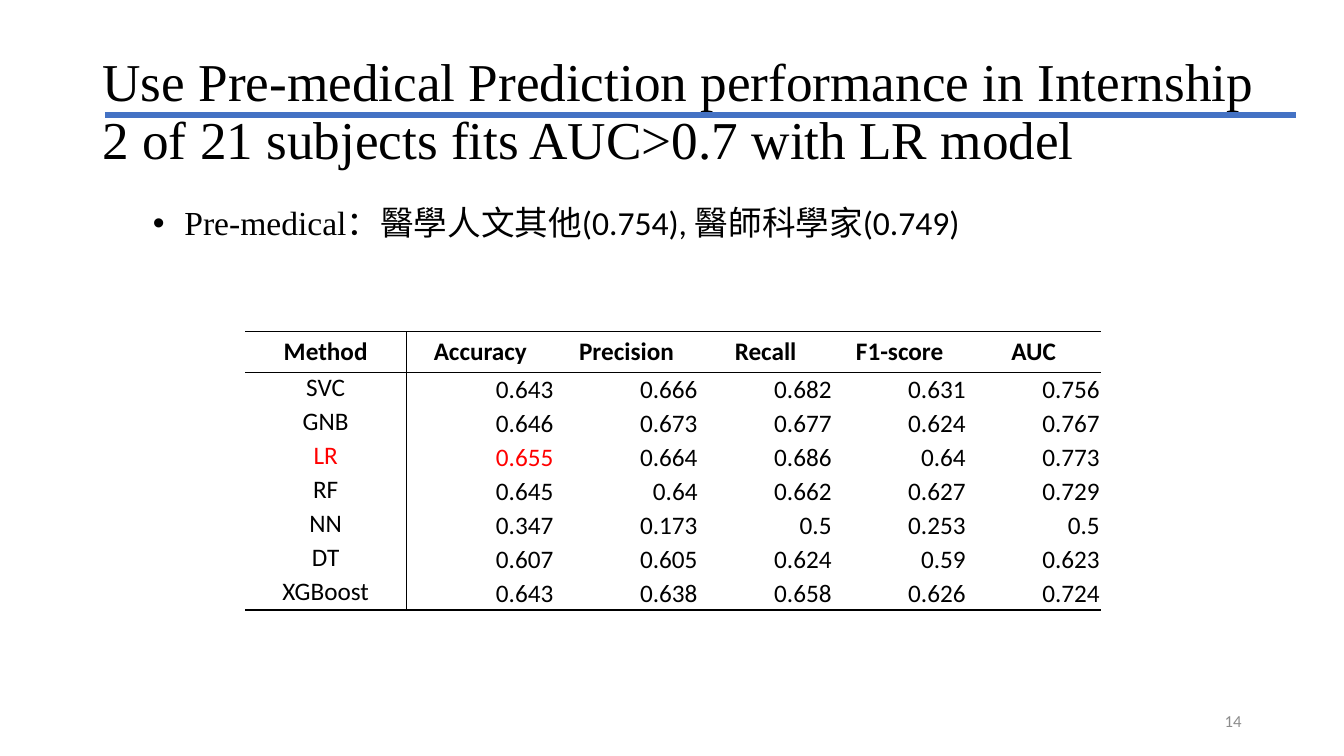
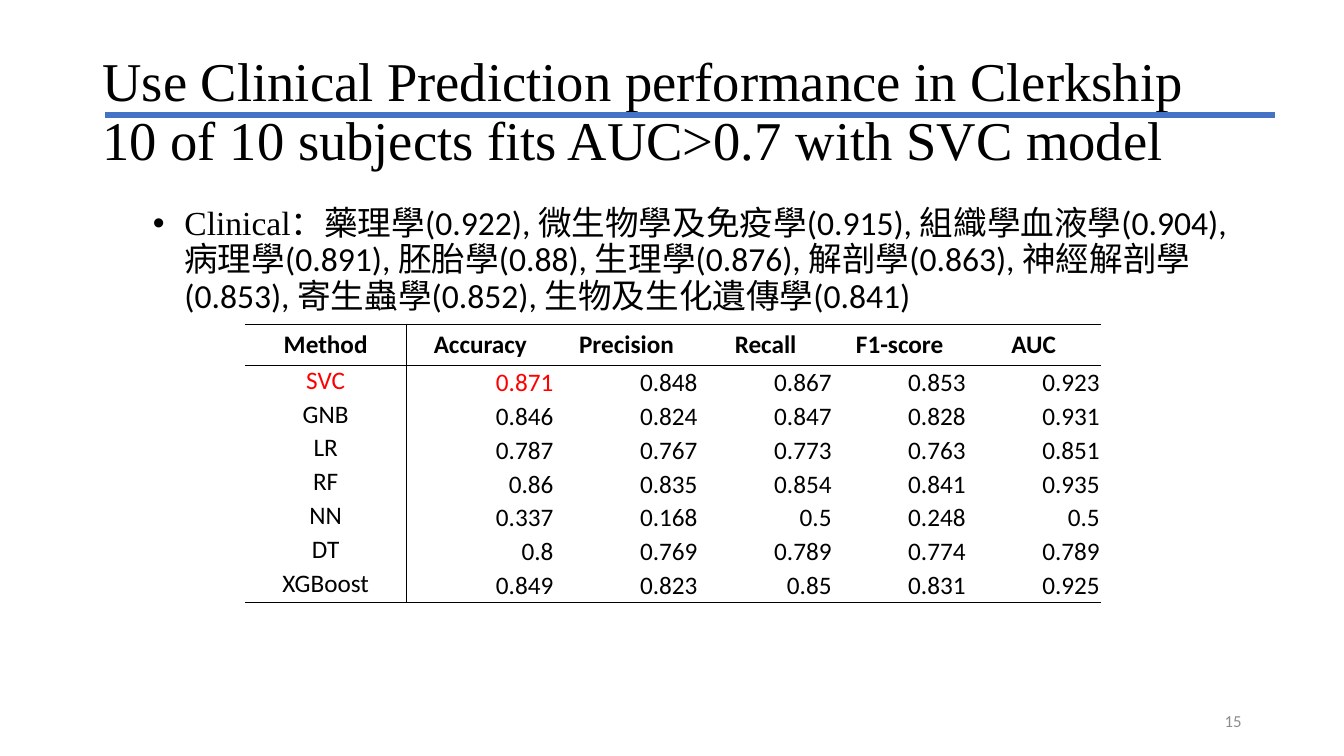
from dataclasses import dataclass

from lxml import etree
from pptx import Presentation
from pptx.dml.color import RGBColor
from pptx.enum.shapes import MSO_CONNECTOR
from pptx.enum.text import MSO_ANCHOR, MSO_AUTO_SIZE, PP_ALIGN
from pptx.oxml.ns import qn
from pptx.util import Pt

LEFT, MID, RIGHT = PP_ALIGN.LEFT, PP_ALIGN.CENTER, PP_ALIGN.RIGHT
CENTRE, TOP = MSO_ANCHOR.MIDDLE, MSO_ANCHOR.TOP
NO_FIT = MSO_AUTO_SIZE.NONE
STRAIGHT = MSO_CONNECTOR.STRAIGHT


@dataclass(frozen=True)
class Theme:
    ink: str = "000000"
    hot: str = "FF0000"
    bar: str = "4472C4"
    dim: str = "8C8C8C"
    serif: str = "Times New Roman"
    sans: str = "Calibri"
    asian: str = "Noto Sans CJK SC"
    list_size: float = 24
    cell_size: float = 18
    page_size: float = 12


THEME = Theme()
HEADS = ["Method", "Accuracy", "Precision", "Recall", "F1-score", "AUC"]
WIDTHS = [115.2, 105.84, 102.96, 95.76, 95.76, 95.76]
HEAD_HIGH, ROW_HIGH = 26.64, 24.25

SLIDES = [
    dict(
        page=14, size=38, rule_end=926, top=236.9, best="LR",
        title="Use Pre-medical Prediction performance in Internship\n"
              "2 of 21 subjects fits AUC>0.7 with LR model",
        label="Pre-medical：",
        items=[("醫學人文其他", "0.754"), ("醫師科學家", "0.749")],
        rows=[
            ["SVC", "0.643", "0.666", "0.682", "0.631", "0.756"],
            ["GNB", "0.646", "0.673", "0.677", "0.624", "0.767"],
            ["LR", "0.655", "0.664", "0.686", "0.64", "0.773"],
            ["RF", "0.645", "0.64", "0.662", "0.627", "0.729"],
            ["NN", "0.347", "0.173", "0.5", "0.253", "0.5"],
            ["DT", "0.607", "0.605", "0.624", "0.59", "0.623"],
            ["XGBoost", "0.643", "0.638", "0.658", "0.626", "0.724"],
        ],
    ),
    dict(
        page=15, size=39, rule_end=911, top=231.6, best="SVC",
        title="Use Clinical Prediction performance in Clerkship\n"
              "10 of 10 subjects fits AUC>0.7 with SVC model",
        label="Clinical：",
        items=[
            ("藥理學", "0.922"), ("微生物學及免疫學", "0.915"),
            ("組織學血液學", "0.904"), ("病理學", "0.891"),
            ("胚胎學", "0.88"), ("生理學", "0.876"),
            ("解剖學", "0.863"), ("神經解剖學", "0.853"),
            ("寄生蟲學", "0.852"), ("生物及生化遺傳學", "0.841"),
        ],
        rows=[
            ["SVC", "0.871", "0.848", "0.867", "0.853", "0.923"],
            ["GNB", "0.846", "0.824", "0.847", "0.828", "0.931"],
            ["LR", "0.787", "0.767", "0.773", "0.763", "0.851"],
            ["RF", "0.86", "0.835", "0.854", "0.841", "0.935"],
            ["NN", "0.337", "0.168", "0.5", "0.248", "0.5"],
            ["DT", "0.8", "0.769", "0.789", "0.774", "0.789"],
            ["XGBoost", "0.849", "0.823", "0.85", "0.831", "0.925"],
        ],
    ),
]


def place(shape, left, top, width, height):
    shape.left, shape.top = Pt(left), Pt(top)
    shape.width, shape.height = Pt(width), Pt(height)


def style(run, face, size, tint=THEME.ink, bold=False):
    font = run.font
    font.name, font.size, font.bold = face, Pt(size), bold
    font.color.rgb = RGBColor.from_string(tint)
    props = run._r.get_or_add_rPr()
    etree.SubElement(props, qn("a:ea")).set("typeface", THEME.asian)


def add_title(slide, text, size):
    title = slide.shapes.title
    place(title, 66, 28.8, 877.7, 104.4)
    frame = title.text_frame
    frame.auto_size, frame.vertical_anchor = NO_FIT, CENTRE
    para = frame.paragraphs[0]
    para.text = text
    para.alignment, para.line_spacing = LEFT, 0.9
    for run in para.runs:
        style(run, THEME.serif, size)


def add_list(slide, label, items):
    body = slide.placeholders[1]
    place(body, 66, 144, 828, 342.7)
    frame = body.text_frame
    frame.auto_size, frame.vertical_anchor = NO_FIT, TOP
    para = frame.paragraphs[0]
    para.level, para.line_spacing, para.space_before = 1, 0.9, Pt(5)
    props = para._p.get_or_add_pPr()
    props.set("marL", str(Pt(58.5)))
    props.set("indent", str(Pt(-22.5)))
    etree.SubElement(props, qn("a:buFont")).set("typeface", "Arial")
    etree.SubElement(props, qn("a:buChar")).set("char", "•")
    parts = [(label, THEME.serif)]
    for spot, (name, score) in enumerate(items, 1):
        tail = ", " if spot < len(items) else ""
        parts += [(name, THEME.asian), (f"({score}){tail}", THEME.sans)]
    for text, face in parts:
        run = para.add_run()
        run.text = text
        style(run, face, THEME.list_size)


def add_edges(cell, shown):
    props = cell._tc.get_or_add_tcPr()
    for side in "LRTB":
        edge = etree.SubElement(props, qn("a:ln" + side))
        edge.set("w", str(Pt(1)))
        if side in shown:
            fill = etree.SubElement(edge, qn("a:solidFill"))
            etree.SubElement(fill, qn("a:srgbClr")).set("val", THEME.ink)
        else:
            etree.SubElement(edge, qn("a:noFill"))
    cell.fill.background()


def set_pads(cell, side, top):
    cell.margin_left = cell.margin_right = Pt(side)
    cell.margin_top, cell.margin_bottom = Pt(top), Pt(0)


def fill_cell(cell, text, row, col, last, tint):
    para = cell.text_frame.paragraphs[0]
    para.text = text
    para.alignment = RIGHT if row and col else MID
    style(para.runs[0], THEME.sans, THEME.cell_size, tint, row == 0)
    if row and col:
        set_pads(cell, 0.75, 0.75)
        cell.vertical_anchor = CENTRE
    elif row:
        set_pads(cell, 3, 0)
    shown = {0: "R", 1: "L"}.get(col, "")
    shown += "T" if row < 2 else ""
    shown += "B" if row in (0, last) else ""
    add_edges(cell, shown)


def add_scores(slide, top, rows, best):
    grid = [HEADS] + rows
    last = len(rows)
    frame = slide.shapes.add_table(
        len(grid), len(HEADS), Pt(175), Pt(top),
        Pt(sum(WIDTHS)), Pt(HEAD_HIGH + last * ROW_HIGH))
    table = frame.table
    table.first_row = table.horz_banding = False
    for col, width in enumerate(WIDTHS):
        table.columns[col].width = Pt(width)
    for row, line in enumerate(grid):
        table.rows[row].height = Pt(ROW_HIGH if row else HEAD_HIGH)
        for col, text in enumerate(line):
            tint = THEME.hot if line[0] == best and col < 2 else THEME.ink
            fill_cell(table.cell(row, col), text, row, col, last, tint)


def add_page(slide, page):
    box = slide.shapes.add_textbox(Pt(678), Pt(500.5), Pt(216), Pt(28.75))
    frame = box.text_frame
    frame.word_wrap, frame.vertical_anchor = True, CENTRE
    para = frame.paragraphs[0]
    para.text, para.alignment = str(page), RIGHT
    style(para.runs[0], THEME.sans, THEME.page_size, THEME.dim)


def add_rule(slide, end):
    rule = slide.shapes.add_connector(
        STRAIGHT, Pt(75), Pt(82), Pt(end), Pt(82))
    rule.line.color.rgb = RGBColor.from_string(THEME.bar)
    rule.line.width = Pt(4.5)
    etree.SubElement(rule._element.spPr, qn("a:effectLst"))


def main():
    deck = Presentation()
    deck.slide_width, deck.slide_height = Pt(960), Pt(540)
    for data in SLIDES:
        slide = deck.slides.add_slide(deck.slide_layouts[1])
        add_title(slide, data["title"], data["size"])
        add_list(slide, data["label"], data["items"])
        add_scores(slide, data["top"], data["rows"], data["best"])
        add_page(slide, data["page"])
        add_rule(slide, data["rule_end"])
    deck.save("out.pptx")


if __name__ == "__main__":
    main()
